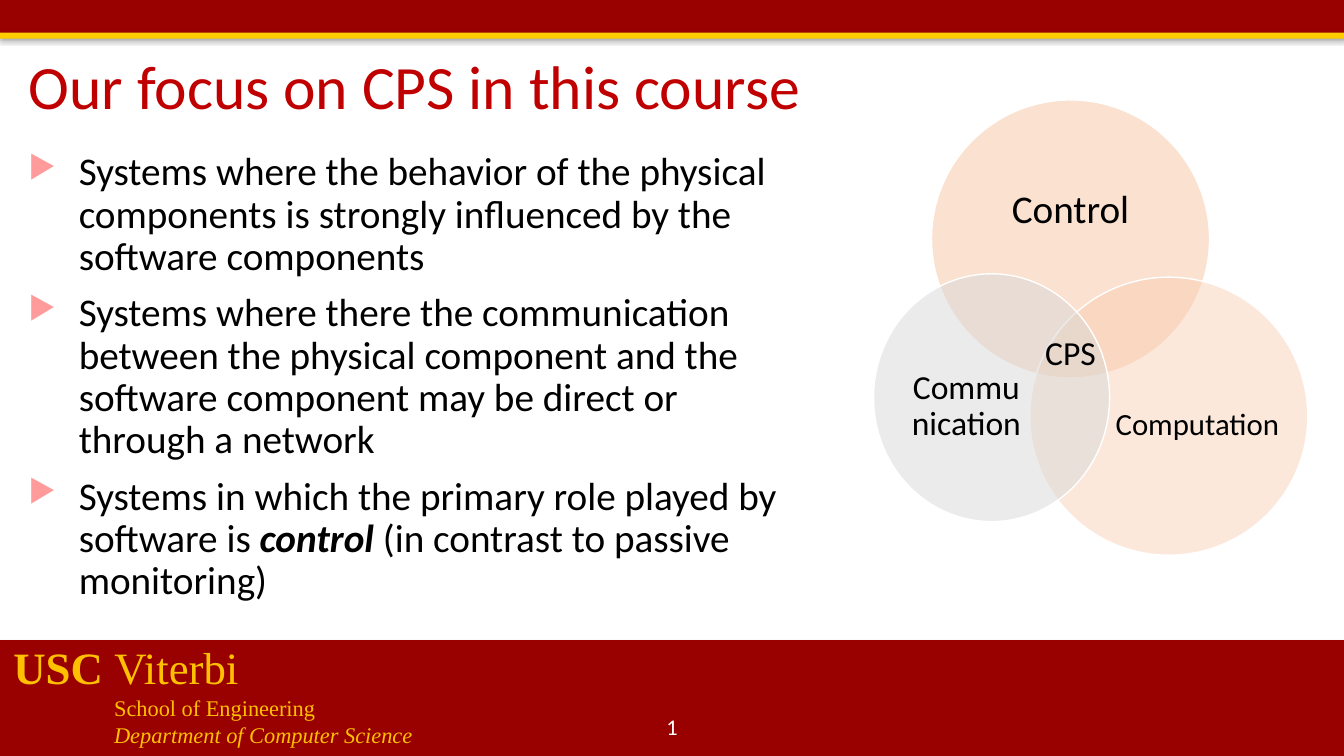
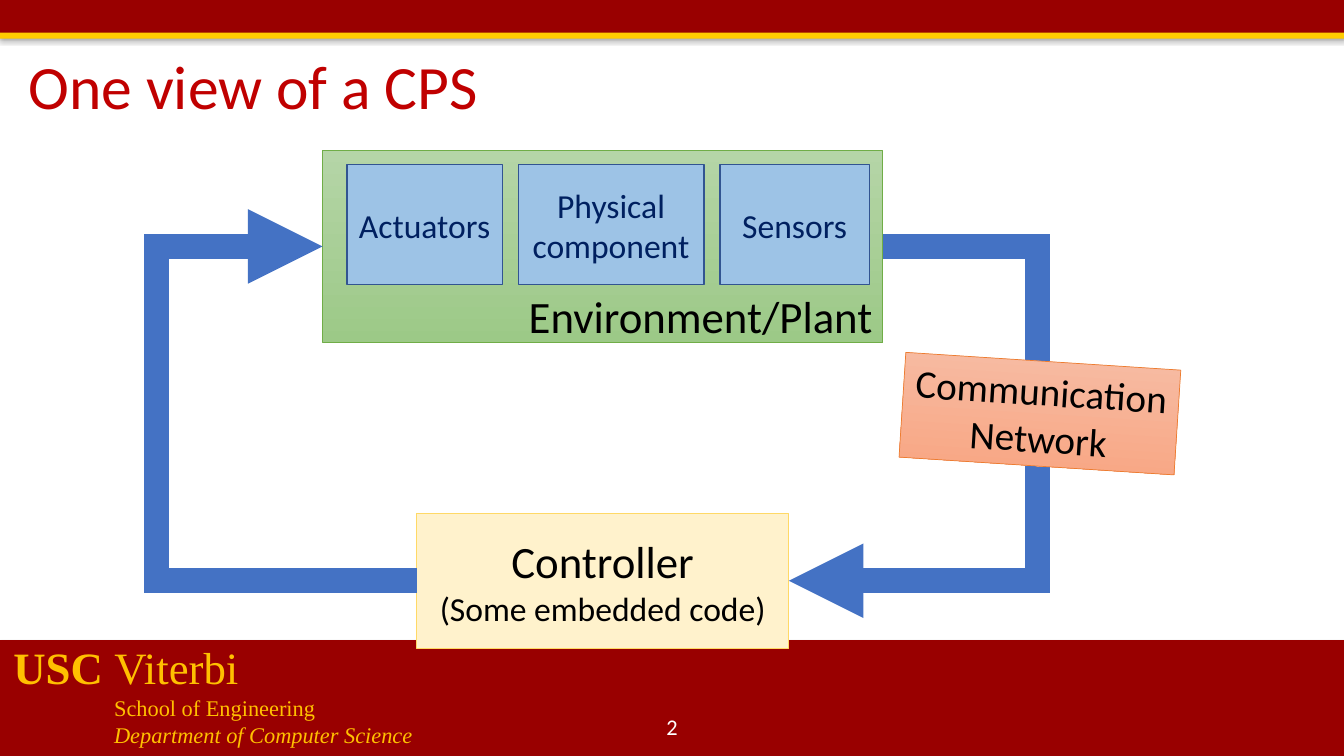
import lxml.etree
import pptx
import pptx.dml.color
import pptx.enum.shapes
import pptx.enum.text
import pptx.oxml.ns
import pptx.util

qn = pptx.oxml.ns.qn
SHAPE = pptx.enum.shapes.MSO_SHAPE
ALIGN = pptx.enum.text.PP_ALIGN
ANCHOR = pptx.enum.text.MSO_ANCHOR

WIDTH, HEIGHT = 12192000, 6858000
COLUMN, ROW = WIDTH / 160, HEIGHT / 90

COLORS = {
    "cardinal": "990000", "gold": "FFCC00", "amber": "FFC000",
    "title": "C00000", "bullet": "FF9B9B", "black": "000000",
    "white": "FFFFFF", "navy": "002060", "peach": "F8CBAD",
    "gray": "D9D9D9", "cream": "FFF2CC", "cream edge": "FFD966",
    "sky": "9DC3E6", "sky edge": "325491", "loop": "4472C4",
    "leaf light": "B5D5A7", "leaf dark": "9CC987", "leaf edge": "70AD47",
    "coral light": "F7BDA5", "coral dark": "F8A582", "coral edge": "ED7D31",
}


def face(size, color="black", name="Calibri", **extra):
    return {"size": pptx.util.Pt(size), "name": name, "color": color, **extra}


SERIF = "Times New Roman"
STYLES = {
    "title": face(44, "title"),
    "body": face(28),
    "body strong": face(28, bold=True, italic=True),
    "large": face(32),
    "medium": face(24),
    "small": face(22),
    "device": face(24, "navy"),
    "number": face(16, "white"),
    "school bold": face(32, "amber", SERIF, bold=True),
    "school": face(32, "amber", SERIF),
    "unit": face(16, "amber", SERIF),
    "department": face(16, "amber", SERIF, italic=True),
}


def columns(count):
    return round(count * COLUMN)


def rows(count):
    return round(count * ROW)


def area(left, top, width, height):
    return columns(left), rows(top), columns(width), rows(height)


def rgb(color):
    return pptx.dml.color.RGBColor.from_string(COLORS[color])


def assign(target, formats):
    for attribute, value in formats.items():
        setattr(target, attribute, value)


def add_xml(parent, tag, **attributes):
    return lxml.etree.SubElement(parent, qn(tag), attributes)


def write(frame, paragraphs, paragraph_formats=None, **frame_formats):
    assign(frame, {"word_wrap": True, "vertical_anchor": ANCHOR.MIDDLE, **frame_formats})
    for index, runs in enumerate(paragraphs):
        paragraph = frame.add_paragraph() if index else frame.paragraphs[0]
        assign(paragraph, paragraph_formats or {})
        for text, style in runs:
            run = paragraph.add_run()
            run.text = text
            formats = dict(STYLES[style])
            run.font.color.rgb = rgb(formats.pop("color"))
            assign(run.font, formats)


def add_text(slide, place, paragraphs, paragraph_formats=None, **frame_formats):
    frame = slide.shapes.add_textbox(*area(*place)).text_frame
    write(frame, paragraphs, paragraph_formats, **frame_formats)
    return frame


def add_block(slide, place, fill, edge=None, edge_width=0.5, kind=SHAPE.RECTANGLE):
    block = slide.shapes.add_shape(kind, *area(*place))
    block.shadow.inherit = False
    if isinstance(fill, tuple):
        block.fill.gradient()
        block.fill.gradient_angle = 270
        for stop, color in zip(block.fill.gradient_stops, fill):
            stop.color.rgb = rgb(color)
    else:
        block.fill.solid()
        block.fill.fore_color.rgb = rgb(fill)
    if edge:
        block.line.color.rgb = rgb(edge)
        block.line.width = pptx.util.Pt(edge_width)
    else:
        block.line.fill.background()
    return block


def add_band(slide, place, fill):
    band = add_block(slide, place, fill)
    effects = band.element.spPr.find(qn("a:effectLst"))
    shadow = add_xml(effects, "a:outerShdw", blurRad="39400", dist="22900",
                     dir="5400000", rotWithShape="0")
    color = add_xml(shadow, "a:srgbClr", val=COLORS["black"])
    add_xml(color, "a:alpha", val="35000")


def add_circle(slide, place, fill, opacity, label, style, insets, wrap=True):
    circle = add_block(slide, place, fill, "white", 1, SHAPE.OVAL)
    color = circle.element.spPr.find(qn("a:solidFill")).find(qn("a:srgbClr"))
    add_xml(color, "a:alpha", val=str(opacity * 1000))
    sides = ("margin_left", "margin_top", "margin_right", "margin_bottom")
    margins = {side: columns(inset) for side, inset in zip(sides, insets)}
    write(circle.text_frame, [[(label, style)]],
          {"alignment": ALIGN.CENTER, "line_spacing": 0.9}, word_wrap=wrap, **margins)


def add_bullets(slide, place, items):
    frame = add_text(slide, place, items, vertical_anchor=ANCHOR.TOP)
    for index, paragraph in enumerate(frame.paragraphs):
        properties = paragraph._p.get_or_add_pPr()
        assign_indent(properties, 6, -6)
        color = add_xml(properties, "a:buClr")
        add_xml(color, "a:srgbClr", val=COLORS["bullet"])
        add_xml(properties, "a:buSzPct", val="80000")
        add_xml(properties, "a:buChar", char="▶")
        assign(paragraph, {"line_spacing": 0.9,
                           "space_before": pptx.util.Pt(10 if index else 0)})


def assign_indent(properties, margin, indent):
    properties.set("marL", str(columns(margin)))
    properties.set("indent", str(columns(indent)))


def add_number(slide, number):
    frame = add_text(slide, (62, 84.1, 36, 4.8), [[(str(number), "number")]],
                     {"alignment": ALIGN.CENTER})
    paragraph = frame.paragraphs[0]
    run = paragraph.runs[0]._r
    field = add_xml(paragraph._p, "a:fld", type="slidenum",
                    id="{B6F15528-21DE-4FAA-801E-634DDDAF4B2B}")
    field.extend(list(run))
    paragraph._p.remove(run)


def add_loop(slide, controller, plant, side, turn, arrow_end):
    loop = slide.shapes.add_connector(pptx.enum.shapes.MSO_CONNECTOR.ELBOW, 0, 0, 0, 0)
    loop.begin_connect(controller, side)
    loop.end_connect(plant, side)
    loop.line.color.rgb = rgb("loop")
    loop.line.width = pptx.util.Pt(17.75)
    properties = loop.element.spPr
    bend = (columns(turn) - loop.begin_x) / (loop.end_x - loop.begin_x)
    guides = properties.find(qn("a:prstGeom")).find(qn("a:avLst"))
    add_xml(guides, "a:gd", name="adj1", fmla=f"val {round(bend * 100000)}")
    outline = properties.find(qn("a:ln"))
    add_xml(outline, "a:miter", lim="800000")
    add_xml(outline, arrow_end, type="triangle")
    add_xml(properties, "a:effectLst")


def add_framed_slide(deck, title, number):
    slide = deck.slides.add_slide(deck.slide_layouts[5])
    for place, fill in (((0, 76.2, 160, 13.8), "cardinal"),
                        ((0, 0, 160, 4), "cardinal"),
                        ((0, 3.9, 160, 0.7), "gold")):
        add_band(slide, place, fill)
    school = add_text(slide, (0.4, 75.6, 75, 14.1), [
        [("USC ", "school bold"), ("Viterbi", "school")],
        [("School of Engineering", "unit")],
        [("Department of Computer Science", "department")],
    ], vertical_anchor=ANCHOR.TOP)
    for paragraph in school.paragraphs[1:]:
        assign_indent(paragraph._p.get_or_add_pPr(), 12, 0)
    heading = slide.shapes.title
    assign(heading, dict(zip(("left", "top", "width", "height"),
                             area(2.2, 5.6, 143.3, 10.2))))
    write(heading.text_frame, [[(title, "title")]],
          {"alignment": ALIGN.LEFT, "line_spacing": 0.9},
          auto_size=pptx.enum.text.MSO_AUTO_SIZE.NONE)
    add_number(slide, number)
    return slide


def build_focus(deck):
    slide = add_framed_slide(deck, "Our focus on CPS in this course", 3)
    add_bullets(slide, (2.2, 17.5, 94.8, 57.1), [
        [("Systems where the behavior of the physical components is strongly "
          "influenced by the software components", "body")],
        [("Systems where there the communication between the physical component "
          "and the software component may be direct or through a network", "body")],
        [("Systems in which the primary role played by software is ", "body"),
         ("control ", "body strong"),
         ("(in contrast to passive monitoring)", "body")],
    ])
    add_circle(slide, (110.9, 11.9, 33.1, 33.1), "peach", 57,
               "Control", "body", (0, 1, 0, 7.7))
    add_circle(slide, (122.6, 33, 33.1, 33.1), "peach", 43,
               "Computation", "small", (6.8, 3.7, 0, 1.5), wrap=False)
    add_circle(slide, (104, 32.6, 28.1, 29.5), "gray", 50,
               "Communication", "medium", (0, 4.2, 6, 2))
    add_text(slide, (123.2, 38.8, 8.5, 6.2), [[("CPS", "medium")]],
             {"alignment": ALIGN.CENTER}, word_wrap=False)


def build_view(deck):
    slide = add_framed_slide(deck, "One view of a CPS", 4)
    centered = {"alignment": ALIGN.CENTER}

    controller = add_block(slide, (49.6, 61.1, 44.3, 16.1), "cream", "cream edge")
    write(controller.text_frame, [[("Controller", "large")],
                                  [("(Some embedded code)", "medium")]], centered)

    plant = add_block(slide, (38.4, 17.9, 66.7, 22.9),
                      ("leaf light", "leaf dark"), "leaf edge")
    write(plant.text_frame, [[("Environment/Plant", "large")]],
          {"alignment": ALIGN.RIGHT}, vertical_anchor=ANCHOR.BOTTOM, margin_bottom=0)

    left, gap = 41.3, 1.9
    for label, width in (("Actuators", 18.5), ("Physical component", 22.1),
                         ("Sensors", 17.8)):
        device = add_block(slide, (left, 19.6, width, 14.3), "sky", "sky edge", 1)
        write(device.text_frame, [[(label, "device")]], centered)
        left += width + gap

    add_loop(slide, controller, plant, 1, 18.6, "a:tailEnd")
    add_loop(slide, controller, plant, 3, 123.5, "a:headEnd")

    network = add_block(slide, (107.4, 43, 32.8, 12.5),
                        ("coral light", "coral dark"), "coral edge")
    network.rotation = 3.7
    write(network.text_frame, [[("Communication Network", "body")]], centered,
          margin_left=columns(0.6), margin_right=columns(0.6))


def main():
    deck = pptx.Presentation()
    assign(deck, {"slide_width": WIDTH, "slide_height": HEIGHT})
    build_focus(deck)
    build_view(deck)
    deck.save("out.pptx")


if __name__ == "__main__":
    main()
